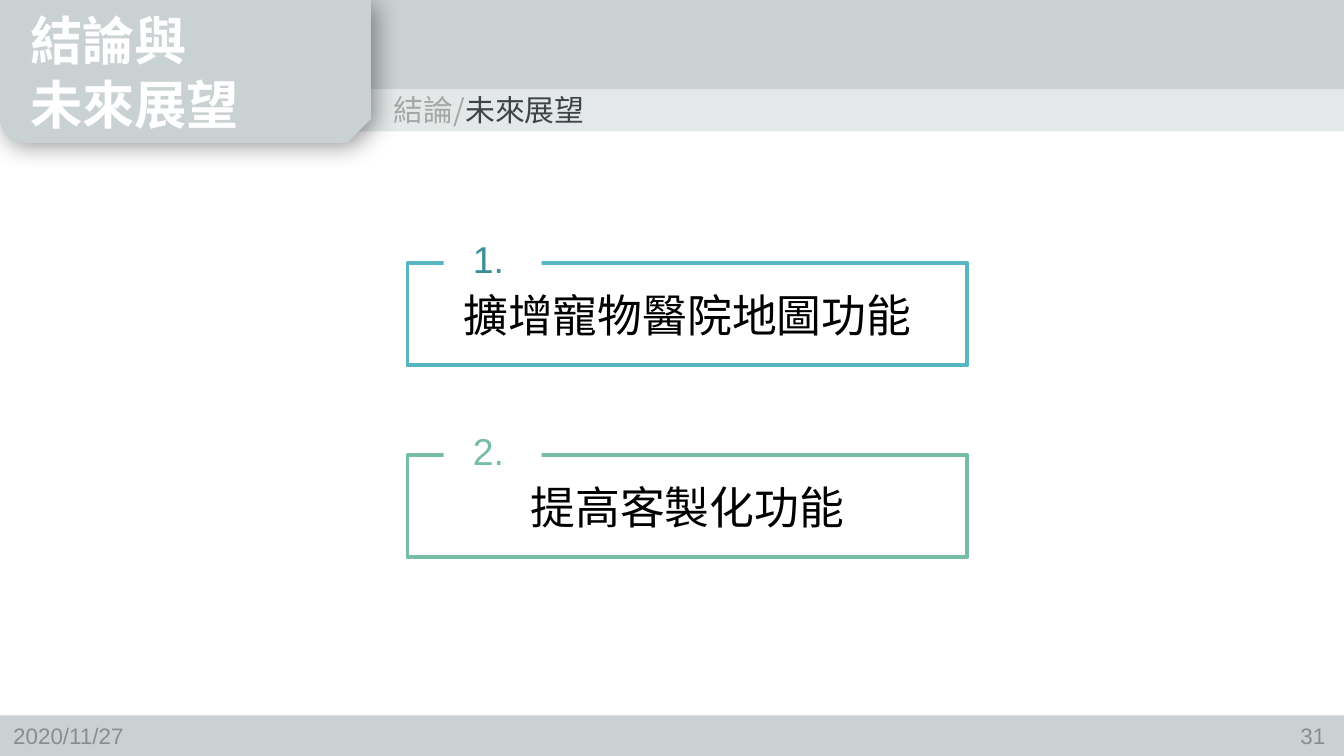
import pptx
import pptx.dml.color
import pptx.enum.shapes
import pptx.enum.text
import pptx.oxml
import pptx.oxml.ns
import pptx.util

PX = 9525
LATIN = "Arial"
CJK = "Noto Sans CJK SC"
COLORS = {
    "band": "CAD1D2",
    "strip": "E4E8E8",
    "white": "FFFFFF",
    "black": "000000",
    "muted": "A6A6A6",
    "dark": "3D4647",
    "footer": "8C8C8C",
    "blue": "58B6C0",
    "deep_blue": "3A8F98",
    "green": "75BDA7",
}
SHAPE = pptx.enum.shapes.MSO_SHAPE
ALIGN = pptx.enum.text.PP_ALIGN
ANCHOR = pptx.enum.text.MSO_ANCHOR


def color(name):
    return pptx.dml.color.RGBColor.from_string(COLORS[name])


def lengths(place):
    return [value * PX for value in place]


def add_block(page, place, fill, line=None, kind=SHAPE.RECTANGLE):
    block = page.shapes.add_shape(kind, *lengths(place))
    block.shadow.inherit = False
    block.fill.solid()
    block.fill.fore_color.rgb = color(fill)
    if line:
        block.line.color.rgb = color(line)
        block.line.width = pptx.util.Pt(2)
    else:
        block.line.fill.background()
    return block


def style_span(span, size, name, font, bold=False):
    """Set the look of a run, with the CJK font for East Asian text."""
    span.font.size = pptx.util.Pt(size)
    span.font.bold = bold
    span.font.color.rgb = color(name)
    span.font.name = font
    east = pptx.oxml.parse_xml(
        f'<a:ea {pptx.oxml.ns.nsdecls("a")} typeface="{CJK}"/>')
    span.font._element.find(pptx.oxml.ns.qn("a:latin")).addnext(east)


def write(box, text, size, name, font=LATIN, align=ALIGN.LEFT,
          anchor=ANCHOR.MIDDLE, bold=False):
    frame = box.text_frame
    frame.word_wrap = True
    frame.vertical_anchor = anchor
    frame.text = text
    for para in frame.paragraphs:
        para.alignment = align
        for span in para.runs:
            style_span(span, size, name, font, bold)
    return frame


def add_label(page, place, *args, **options):
    box = page.shapes.add_textbox(*lengths(place))
    return write(box, *args, **options)


def add_title_tab(page, text):
    tab = add_block(page, (0, 0, 265, 102), "band",
                    kind=SHAPE.SNIP_ROUND_RECTANGLE)
    properties = tab._element.spPr
    properties.find(pptx.oxml.ns.qn("a:xfrm")).set("flipV", "1")
    shadow = pptx.oxml.parse_xml(
        f'<a:outerShdw {pptx.oxml.ns.nsdecls("a")} blurRad="165100" '
        'dist="38100" dir="2700000" algn="tl" rotWithShape="0">'
        f'<a:srgbClr val="{COLORS["black"]}"><a:alpha val="40000"/>'
        '</a:srgbClr></a:outerShdw>')
    properties.find(pptx.oxml.ns.qn("a:effectLst")).append(shadow)
    frame = add_label(page, (12, 1, 242, 100), text, 28, "white",
                      align=ALIGN.JUSTIFY, bold=True)
    for para in frame.paragraphs:
        para.line_spacing = pptx.util.Pt(34)


def add_breadcrumb(page, earlier, current):
    frame = add_label(page, (272, 61, 540, 36), earlier, 16, "muted", CJK,
                      anchor=ANCHOR.TOP)
    span = frame.paragraphs[0].add_run()
    span.text = current
    style_span(span, 16, "dark", CJK)


def add_card(page, top, number, text, line, number_color):
    """Outlined box whose top edge is broken by its number."""
    card = add_block(page, (291, top, 400, 73), "white", line)
    write(card, text, 24, "black", CJK, ALIGN.CENTER)
    add_block(page, (317, top - 10, 70, 21), "white")
    add_label(page, (314, top - 24, 70, 42), number, 20, number_color,
              align=ALIGN.CENTER, anchor=ANCHOR.TOP)


def main():
    deck = pptx.Presentation()
    deck.slide_width, deck.slide_height = lengths((960, 540))
    page = deck.slides.add_slide(deck.slide_layouts[6])

    add_block(page, (0, 0, 960, 64), "band")
    add_block(page, (0, 511, 960, 29), "band")
    add_block(page, (27, 64, 933, 30), "strip")
    add_title_tab(page, "結論與\n未來展望")
    add_breadcrumb(page, "結論/", "未來展望")
    add_label(page, (0, 511, 224, 29), "2020/11/27", 12, "footer")
    add_label(page, (732, 511, 224, 29), "31", 12, "footer",
              align=ALIGN.RIGHT)

    cards = [
        ("1.", "擴增寵物醫院地圖功能", "blue", "deep_blue"),
        ("2.", "提高客製化功能", "green", "green"),
    ]
    for index, card in enumerate(cards):
        add_card(page, 188 + 137 * index, *card)

    deck.save("out.pptx")


if __name__ == "__main__":
    main()
